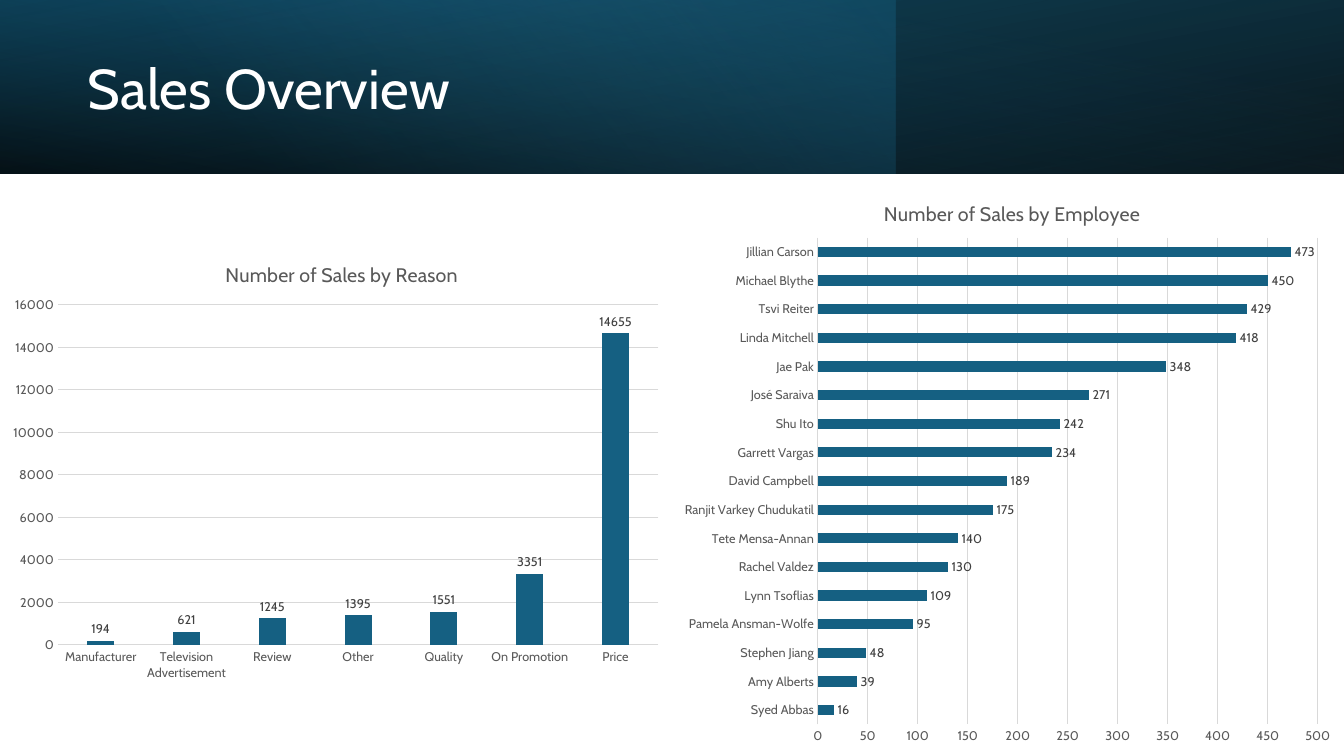
from lxml import etree
from pptx import Presentation
from pptx.chart.data import CategoryChartData
from pptx.dml.color import RGBColor
from pptx.enum.chart import XL_CHART_TYPE as ChartType, XL_LABEL_POSITION as LabelPosition
from pptx.enum.chart import XL_TICK_MARK as TickMark
from pptx.enum.shapes import MSO_SHAPE as Shape
from pptx.enum.text import MSO_ANCHOR as Anchor
from pptx.oxml import parse_xml
from pptx.oxml.ns import nsdecls, qn
from pptx.util import Pt

FONT = "Cabin"
BLUE, GRAY, DARK, RULE = "156082", "595959", "404040", "D9D9D9"

REASONS = {
    "Manufacturer": 194, "Television Advertisement": 621, "Review": 1245, "Other": 1395,
    "Quality": 1551, "On Promotion": 3351, "Price": 14655,
}
EMPLOYEES = {
    "Syed Abbas": 16, "Amy Alberts": 39, "Stephen Jiang": 48, "Pamela Ansman-Wolfe": 95,
    "Lynn Tsoflias": 109, "Rachel Valdez": 130, "Tete Mensa-Annan": 140,
    "Ranjit Varkey Chudukatil": 175, "David Campbell": 189, "Garrett Vargas": 234,
    "Shu Ito": 242, "José Saraiva": 271, "Jae Pak": 348, "Linda Mitchell": 418,
    "Tsvi Reiter": 429, "Michael Blythe": 450, "Jillian Carson": 473,
}


def apply(target, values):
    """Set each named attribute of an object."""
    for name, value in values.items():
        setattr(target, name, value)


def paint(color_format, color):
    """Give a colour format a hex colour."""
    color_format.rgb = RGBColor.from_string(color)


def style_font(font, size, color):
    """Set the face, size and colour of a font."""
    apply(font, {"name": FONT, "size": Pt(size), "bold": False})
    paint(font.color, color)


def add_gradient(slide, box, stops, angle, flipped=False, rotation=0):
    """Draw a rectangle with a linear gradient of position, colour and opacity stops."""
    shape = slide.shapes.add_shape(Shape.RECTANGLE, *map(Pt, box))
    shape.shadow.inherit = False
    shape.rotation = rotation
    shape.line.fill.background()
    shape.fill.background()
    properties = shape._element.spPr
    if flipped:
        properties.find(qn("a:xfrm")).set("flipH", "1")
    marks = "".join(
        f'<a:gs pos="{position * 1000}"><a:srgbClr val="{color}">'
        f'<a:alpha val="{opacity * 1000}"/></a:srgbClr></a:gs>'
        for position, color, opacity in stops
    )
    gradient = parse_xml(
        f'<a:gradFill {nsdecls("a")} rotWithShape="1"><a:gsLst>{marks}</a:gsLst>'
        f'<a:lin ang="{angle * 60000}" scaled="0"/></a:gradFill>'
    )
    properties.replace(properties.find(qn("a:noFill")), gradient)


def add_header(slide, box, title):
    """Draw the layered banner and its title."""
    left, top, width, height = box
    add_gradient(slide, box, [(0, "000000", 96), (100, "104862", 100)], 100, True, 180)
    add_gradient(slide, (left, top, width * 2 / 3, height),
                 [(0, BLUE, 41), (74, "46B1E1", 0)], 140)
    add_gradient(slide, box, [(0, "000000", 63), (78, BLUE, 15)], 260, True)
    text_box = slide.shapes.add_textbox(Pt(left + 55.5), Pt(top + 19.5), Pt(556), Pt(91.5))
    frame = text_box.text_frame
    apply(frame, {"word_wrap": True, "vertical_anchor": Anchor.MIDDLE})
    para = frame.paragraphs[0]
    para.line_spacing = 0.9
    span = para.add_run()
    span.text = title
    style_font(span.font, 40, "FFFFFF")


def place(element, index, values):
    """Replace the layout of a chart part with fixed fractions of the chart."""
    for old in element.findall(qn("c:layout")):
        element.remove(old)
    layout = parse_xml(f'<c:layout {nsdecls("c")}><c:manualLayout/></c:layout>')
    for name, value in values.items():
        etree.SubElement(layout[0], qn(f"c:{name}")).set("val", str(value))
    element.insert(index, layout)


def add_bars(slide, box, kind, title, data, scale, spacing, title_spot, plot_box):
    """Add a titled single-series bar or column chart."""
    chart_data = CategoryChartData()
    chart_data.categories = list(data)
    chart_data.add_series("Series 1", list(data.values()))
    chart = slide.shapes.add_chart(kind, *map(Pt, box), chart_data).chart
    apply(chart, {"has_legend": False, "has_title": True})
    style_font(chart.font, 10, "000000")
    heading = chart.chart_title
    heading.include_in_layout = False
    span = heading.text_frame.paragraphs[0].add_run()
    span.text = title
    style_font(span.font, 14, GRAY)
    edges = {"xMode": "edge", "yMode": "edge"}
    place(heading._element, 1, edges | dict(zip("xy", title_spot)))
    place(chart._chartSpace.chart.plotArea, 0,
          {"layoutTarget": "inner"} | edges | dict(zip("xywh", plot_box)))

    for axis in (chart.category_axis, chart.value_axis):
        apply(axis, {"major_tick_mark": TickMark.NONE, "minor_tick_mark": TickMark.NONE})
        style_font(axis.tick_labels.font, 9, GRAY)
    chart.category_axis.has_major_gridlines = False
    values = chart.value_axis
    maximum, step = scale
    apply(values, {"minimum_scale": 0, "maximum_scale": maximum, "major_unit": step,
                   "has_major_gridlines": True})
    values.format.line.fill.background()
    for line in (chart.category_axis.format.line, values.major_gridlines.format.line):
        line.width = Pt(0.75)
        paint(line.color, RULE)

    plot = chart.plots[0]
    apply(plot, {"vary_by_categories": False, "has_data_labels": True} | spacing)
    apply(plot.data_labels, {"show_value": True, "position": LabelPosition.OUTSIDE_END})
    style_font(plot.data_labels.font, 9, DARK)
    fill = plot.series[0].format.fill
    fill.solid()
    paint(fill.fore_color, BLUE)


def main():
    """Build the sales overview slide."""
    deck = Presentation()
    apply(deck, {"slide_width": Pt(960), "slide_height": Pt(540)})
    slide = deck.slides.add_slide(deck.slide_layouts[6])
    add_header(slide, (0, 0, 960, 124), "Sales Overview")
    add_bars(slide, (0, 171.5, 480, 322), ChartType.COLUMN_CLUSTERED,
             "Number of Sales by Reason", REASONS, (16000, 2000),
             {"gap_width": 219, "overlap": -27}, (0.33, 0.04), (0.086, 0.144, 0.894, 0.754))
    add_bars(slide, (480, 124, 480, 416), ChartType.BAR_CLUSTERED,
             "Number of Sales by Employee", EMPLOYEES, (500, 50),
             {"gap_width": 182}, (0.31, 0.04), (0.217, 0.11, 0.744, 0.836))
    deck.save("out.pptx")


if __name__ == "__main__":
    main()
